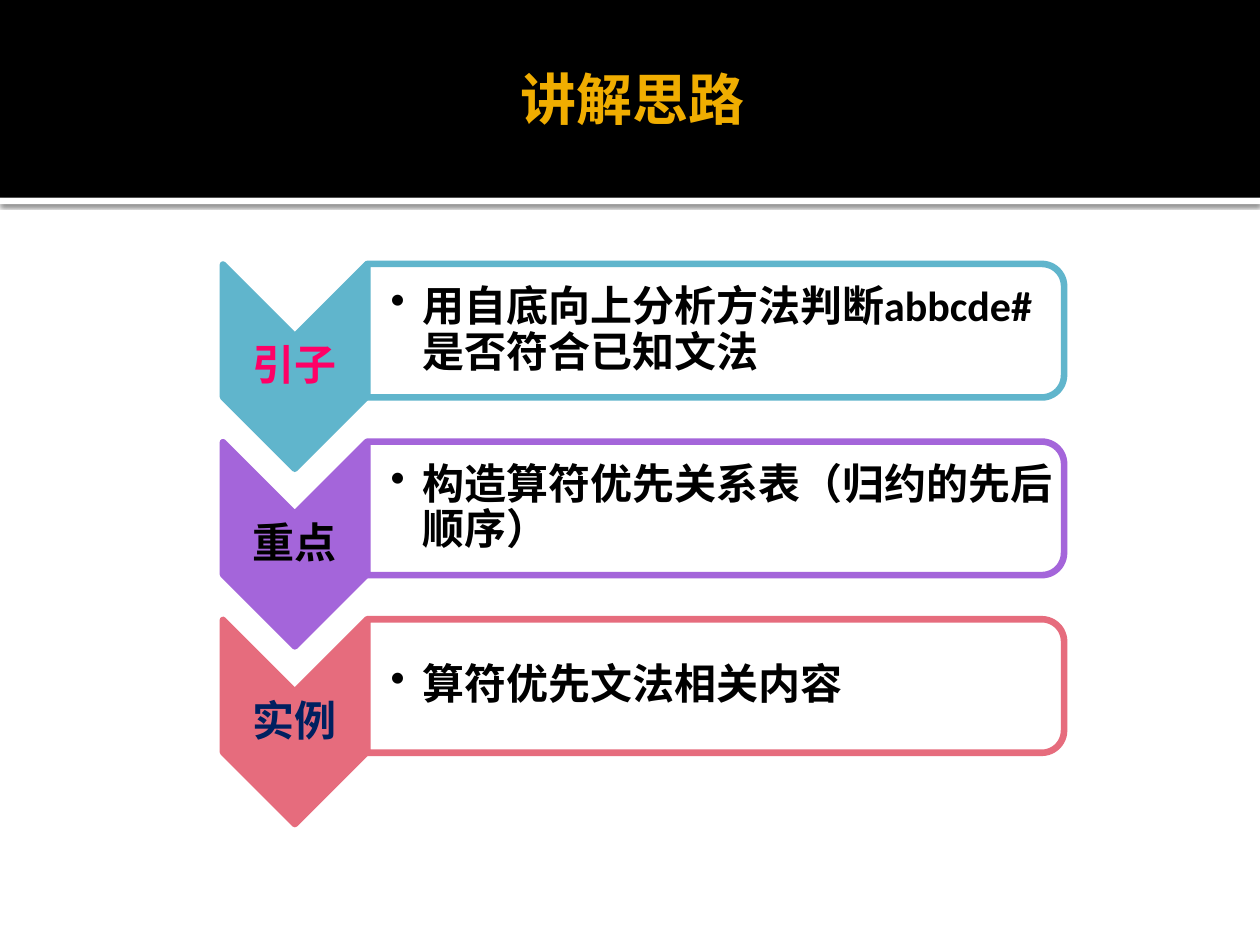
import dataclasses

import pptx
import pptx.dml.color
import pptx.enum.shapes
import pptx.enum.text
import pptx.oxml
import pptx.oxml.ns
import pptx.util

Inches = pptx.util.Inches
Pt = pptx.util.Pt
Shape = pptx.enum.shapes.MSO_SHAPE
Align = pptx.enum.text.PP_ALIGN
NS = pptx.oxml.ns.nsdecls("a")


@dataclasses.dataclass
class Box:
    left: float
    top: float
    width: float
    height: float

    def spots(self) -> list:
        return [Inches(n) for n in (self.left, self.top, self.width, self.height)]


@dataclasses.dataclass
class Step:
    label: str
    ink: str
    color: str
    body: str


STEPS = [
    Step("引子", "FF0066", "60B5CC", "用自底向上分析方法判断abbcde#是否符合已知文法"),
    Step("重点", "000000", "A465DA", "构造算符优先关系表（归约的先后顺序）"),
    Step("实例", "002060", "E66C7D", "算符优先文法相关内容"),
]
PITCH = 1.41


def rgb(code: str) -> pptx.dml.color.RGBColor:
    return pptx.dml.color.RGBColor.from_string(code)


def draw(slide, kind, box: Box, fill: str, line: str = "", turn: float = 0):
    shape = slide.shapes.add_shape(kind, *box.spots())
    shape.shadow.inherit = False
    shape.rotation = turn
    shape.fill.solid()
    shape.fill.fore_color.rgb = rgb(fill)
    if line:
        shape.line.color.rgb = rgb(line)
        shape.line.width = Pt(3.78)
    else:
        shape.line.fill.background()
    return shape


def write(slide, box: Box, text: str, size: float, ink: str, pads: tuple):
    """Add a bold, vertically centred text box and return its paragraph."""
    frame = slide.shapes.add_textbox(*box.spots()).text_frame
    frame.word_wrap = True
    frame.vertical_anchor = pptx.enum.text.MSO_ANCHOR.MIDDLE
    (frame.margin_left, frame.margin_top,
     frame.margin_right, frame.margin_bottom) = map(Inches, pads)
    para = frame.paragraphs[0]
    para.text = text
    para.alignment = Align.CENTER
    para.font.name = "Calibri"
    para.font.size = Pt(size)
    para.font.bold = True
    para.font.color.rgb = rgb(ink)
    return para


def add_bullet(para) -> None:
    para.alignment = Align.LEFT
    para.level = 1
    props = para._p.get_or_add_pPr()
    props.set("marL", str(Inches(0.25)))
    props.set("indent", str(-Inches(0.25)))
    mark = pptx.oxml.parse_xml(f'<a:buChar {NS} char="•"/>')
    props.insert_element_before(mark, "a:tabLst", "a:defRPr", "a:extLst")


def add_shadow(shape) -> None:
    effects = shape._element.spPr.find(pptx.oxml.ns.qn("a:effectLst"))
    effects.append(pptx.oxml.parse_xml(
        f'<a:outerShdw {NS} blurRad="{Pt(2.5)}" dist="{Pt(0.8)}" dir="5400000"'
        ' algn="tl" rotWithShape="0"><a:srgbClr val="000000">'
        '<a:alpha val="60000"/></a:srgbClr></a:outerShdw>'))


def set_alpha(shape, share: int) -> None:
    color = shape._element.spPr.find(
        pptx.oxml.ns.qn("a:solidFill") + "/" + pptx.oxml.ns.qn("a:srgbClr"))
    color.append(pptx.oxml.parse_xml(f'<a:alpha {NS} val="{share * 1000}"/>'))


def add_step(slide, step: Step, down: float) -> None:
    # Chevron and its label
    draw(slide, Shape.CHEVRON, Box(1.53, 2.34 + down, 1.62, 1.14),
         step.color, step.color, 90)
    pad = 0.02
    label = write(slide, Box(1.77, 2.67 + down, 1.14, 0.49), step.label, 24,
                  step.ink, (pad, pad, pad, pad))
    label.line_spacing = 0.9
    label.space_after = Pt(8.4)

    # Panel and its bullet
    panel = draw(slide, Shape.ROUND_2_SAME_RECTANGLE,
                 Box(5.15, -0.14 + down, 1.06, 5.53), "FFFFFF", step.color, 90)
    set_alpha(panel, 90)
    body = write(slide, Box(2.91, 2.15 + down, 5.48, 0.95), step.body, 24,
                 "000000", (0.19, pad, pad, pad))
    body.line_spacing = 0.9
    body.space_after = Pt(3.6)
    add_bullet(body)


def main() -> None:
    deck = pptx.Presentation()
    deck.slide_width, deck.slide_height = Inches(10), Inches(7.5)
    slide = deck.slides.add_slide(deck.slide_layouts[6])

    # Header band with its shadowed edge
    add_shadow(draw(slide, Shape.RECTANGLE, Box(0, 1.57, 10, 0.05), "FFFFFF"))
    draw(slide, Shape.RECTANGLE, Box(0, 0, 10, 1.57), "000000")

    # Steps
    for row, step in enumerate(STEPS):
        add_step(slide, step, row * PITCH)

    # Title
    write(slide, Box(0.5, 0.17, 9, 1.22), "讲解思路", 32, "F0AD00",
          (0.1, 0.05, 0.05, 0.05))
    deck.save("out.pptx")


if __name__ == "__main__":
    main()
